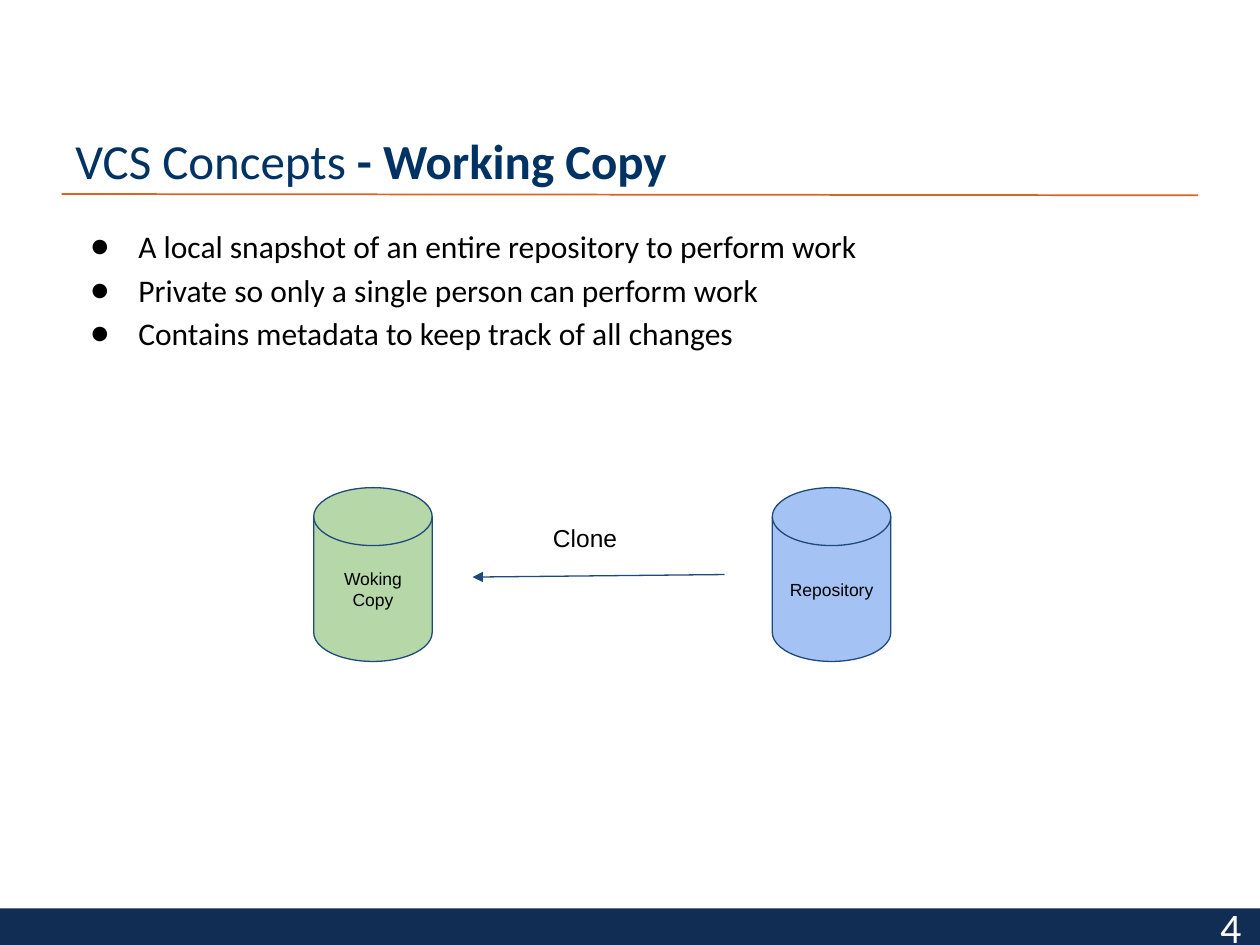
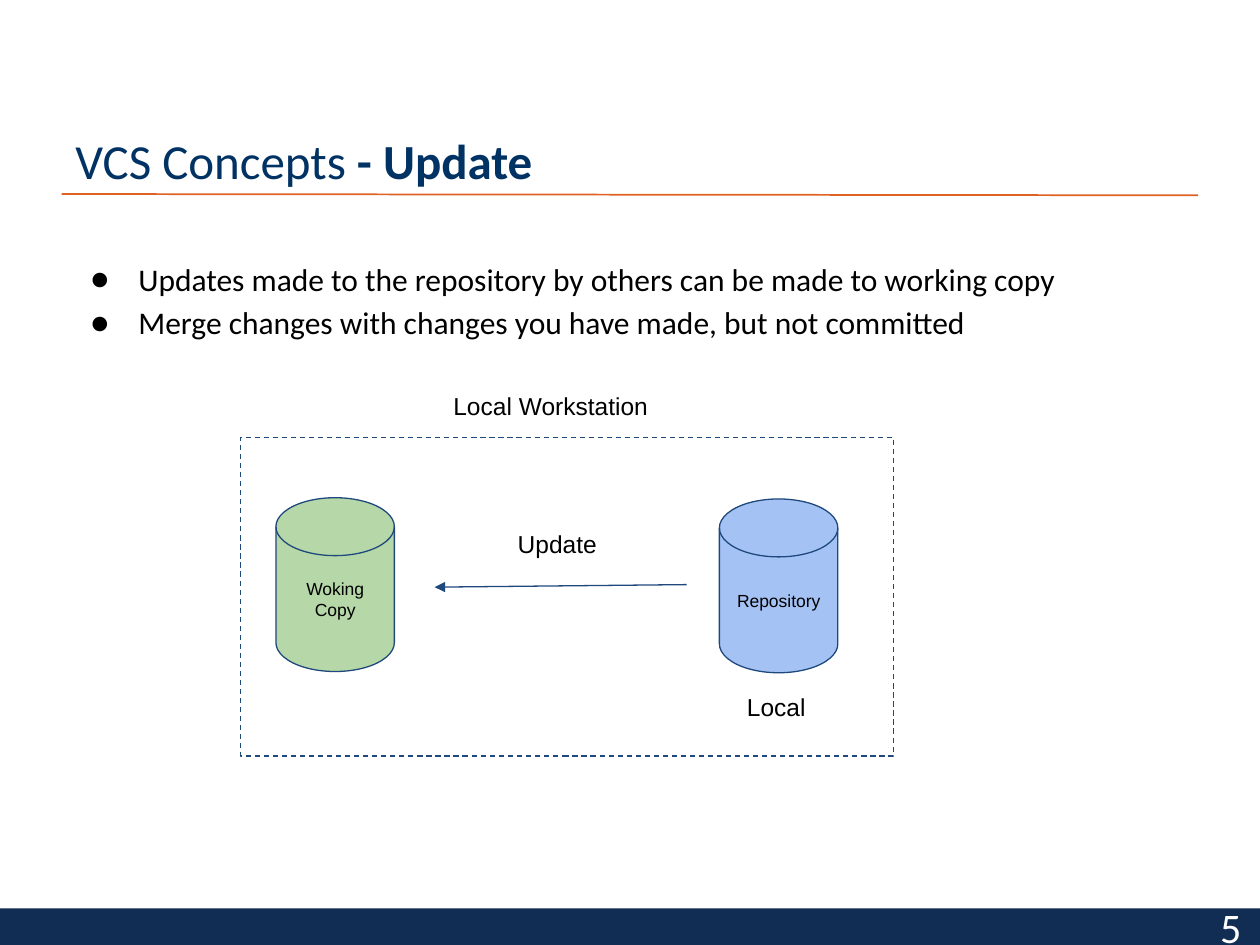
from lxml import etree
from pptx import Presentation
from pptx.dml.color import RGBColor
from pptx.enum.dml import MSO_LINE
from pptx.enum.shapes import MSO_CONNECTOR, MSO_SHAPE
from pptx.enum.text import MSO_ANCHOR, MSO_AUTO_SIZE, PP_ALIGN
from pptx.oxml.ns import qn
from pptx.util import Inches, Pt

RECTANGLE = MSO_SHAPE.RECTANGLE
CYLINDER = MSO_SHAPE.FLOWCHART_MAGNETIC_DISK
STRAIGHT = MSO_CONNECTOR.STRAIGHT
DASH = MSO_LINE.DASH
TOP, MIDDLE, BOTTOM = MSO_ANCHOR.TOP, MSO_ANCHOR.MIDDLE, MSO_ANCHOR.BOTTOM
CENTER, RIGHT = PP_ALIGN.CENTER, PP_ALIGN.RIGHT
GROW = MSO_AUTO_SIZE.SHAPE_TO_FIT_TEXT

COLORS = {
    "title": "003263",
    "rule": "DE6224",
    "band": "112D53",
    "outline": "1F497D",
    "repository": "A4C2F4",
    "working_copy": "B6D7A8",
    "text": "000000",
    "page_number": "FFFFFF",
}
HEADING_FONT = "Calibri"
DIAGRAM_FONT = "Arial"


def rgb(name):
    return RGBColor.from_string(COLORS[name])


def style_runs(paragraph, font, size, color):
    for run in paragraph.runs:
        run.font.name = font
        run.font.size = Pt(size)
        run.font.color.rgb = rgb(color)


def set_frame(frame, anchor=TOP, vertical_inset=0.05):
    frame.word_wrap = True
    frame.vertical_anchor = anchor
    frame.margin_left = frame.margin_right = Inches(0.1)
    frame.margin_top = frame.margin_bottom = Inches(vertical_inset)


def add_text_frame(slide, left, top, width, height, **frame_options):
    box = slide.shapes.add_textbox(
        Inches(left), Inches(top), Inches(width), Inches(height))
    set_frame(box.text_frame, **frame_options)
    return box.text_frame


def add_figure(slide, kind, left, top, width, height, fill=None, outline=None):
    figure = slide.shapes.add_shape(
        kind, Inches(left), Inches(top), Inches(width), Inches(height))
    figure.shadow.inherit = False
    if fill:
        figure.fill.solid()
        figure.fill.fore_color.rgb = rgb(fill)
    else:
        figure.fill.background()
    if outline:
        figure.line.color.rgb = rgb(outline)
        figure.line.width = Pt(0.75)
    else:
        figure.line.fill.background()
    return figure


def add_line(slide, start, end, color, width):
    line = slide.shapes.add_connector(
        STRAIGHT, *(Inches(value) for value in (*start, *end)))
    line.line.color.rgb = rgb(color)
    line.line.width = Pt(width)
    etree.SubElement(line._element.spPr, qn("a:effectLst"))
    return line


def add_arrow(slide, left, top):
    arrow = add_line(slide, (left + 2, top), (left, top + 0.02), "outline", 0.75)
    etree.SubElement(arrow.line._get_or_add_ln(), qn("a:tailEnd"), type="triangle")


def add_title(slide, topic):
    frame = add_text_frame(slide, 0.5, 0.3, 7.6, 1.25, anchor=BOTTOM)
    title = frame.paragraphs[0]
    title.text = "VCS Concepts"
    title.add_run().text = f" - {topic}"
    style_runs(title, HEADING_FONT, 28, "title")
    title.runs[1].font.bold = True


def add_bullet_mark(paragraph):
    properties = paragraph._p.get_or_add_pPr()
    properties.set("marL", str(Inches(0.5)))
    properties.set("indent", str(Inches(-0.38)))
    bullet_color = etree.SubElement(properties, qn("a:buClr"))
    etree.SubElement(bullet_color, qn("a:srgbClr"), val=COLORS["text"])
    etree.SubElement(properties, qn("a:buFont"), typeface=HEADING_FONT)
    etree.SubElement(properties, qn("a:buChar"), char="●")


def add_bullets(slide, top, height, points):
    frame = add_text_frame(slide, 0.5, top, 9, height)
    frame.text = "\n".join(points)
    for index, paragraph in enumerate(frame.paragraphs):
        paragraph.line_spacing = 1.15
        paragraph.space_before = Pt(0 if index else 10)
        add_bullet_mark(paragraph)
        style_runs(paragraph, HEADING_FONT, 18, "text")


def add_store(slide, left, top, name, fill):
    store = add_figure(slide, CYLINDER, left, top, 0.94, 1.38, fill, "outline")
    set_frame(store.text_frame, anchor=MIDDLE, vertical_inset=0.1)
    store.text_frame.text = name
    caption = store.text_frame.paragraphs[0]
    caption.alignment = CENTER
    style_runs(caption, DIAGRAM_FONT, 10, "text")


def add_label(slide, left, top, width, text):
    frame = add_text_frame(slide, left, top, width, 0.44, vertical_inset=0.1)
    frame.auto_size = GROW
    frame.text = text
    style_runs(frame.paragraphs[0], DIAGRAM_FONT, 14, "text")


def add_page_number(slide, number):
    frame = add_text_frame(slide, 7.7, 7.21, 2.25, 0.29, anchor=MIDDLE)
    frame.text = str(number)
    frame.paragraphs[0].alignment = RIGHT
    style_runs(frame.paragraphs[0], HEADING_FONT, 24, "page_number")


def add_concept_slide(deck, number, topic):
    slide = deck.slides.add_slide(deck.slide_layouts[6])
    add_line(slide, (0.49, 1.54), (9.51, 1.55), "rule", 1)
    add_figure(slide, RECTANGLE, 0, 7.21, 10.02, 0.29, "band")
    add_title(slide, topic)
    add_page_number(slide, number)
    return slide


def add_transfer(slide, repository_at, working_copy_at, arrow_at):
    add_store(slide, *repository_at, "Repository", "repository")
    add_store(slide, *working_copy_at, "Woking Copy", "working_copy")
    add_arrow(slide, *arrow_at)


def build_working_copy(deck):
    slide = add_concept_slide(deck, 4, "Working Copy")
    add_bullets(slide, 1.71, 4.95, [
        "A local snapshot of an entire repository to perform work",
        "Private so only a single person can perform work",
        "Contains metadata to keep track of all changes",
    ])
    add_transfer(slide, (6.13, 3.87), (2.49, 3.87), (3.75, 4.56))
    add_label(slide, 4.29, 4.05, 0.98, "Clone")


def build_update(deck):
    slide = add_concept_slide(deck, 5, "Update")
    workstation = add_figure(
        slide, RECTANGLE, 1.91, 3.47, 5.18, 2.53, outline="outline")
    workstation.line.dash_style = DASH
    add_bullets(slide, 1.97, 1, [
        "Updates made to the repository by others can be made to working copy",
        "Merge changes with changes you have made, but not committed",
    ])
    add_transfer(slide, (5.71, 3.96), (2.19, 3.95), (3.45, 4.64))
    add_label(slide, 4.01, 4.1, 0.98, "Update")
    add_label(slide, 5.83, 5.39, 0.83, "Local")
    add_label(slide, 3.5, 3, 2, "Local Workstation")


def main():
    deck = Presentation()
    deck.slide_width = Inches(10)
    deck.slide_height = Inches(7.5)
    build_working_copy(deck)
    build_update(deck)
    deck.save("out.pptx")


if __name__ == "__main__":
    main()
